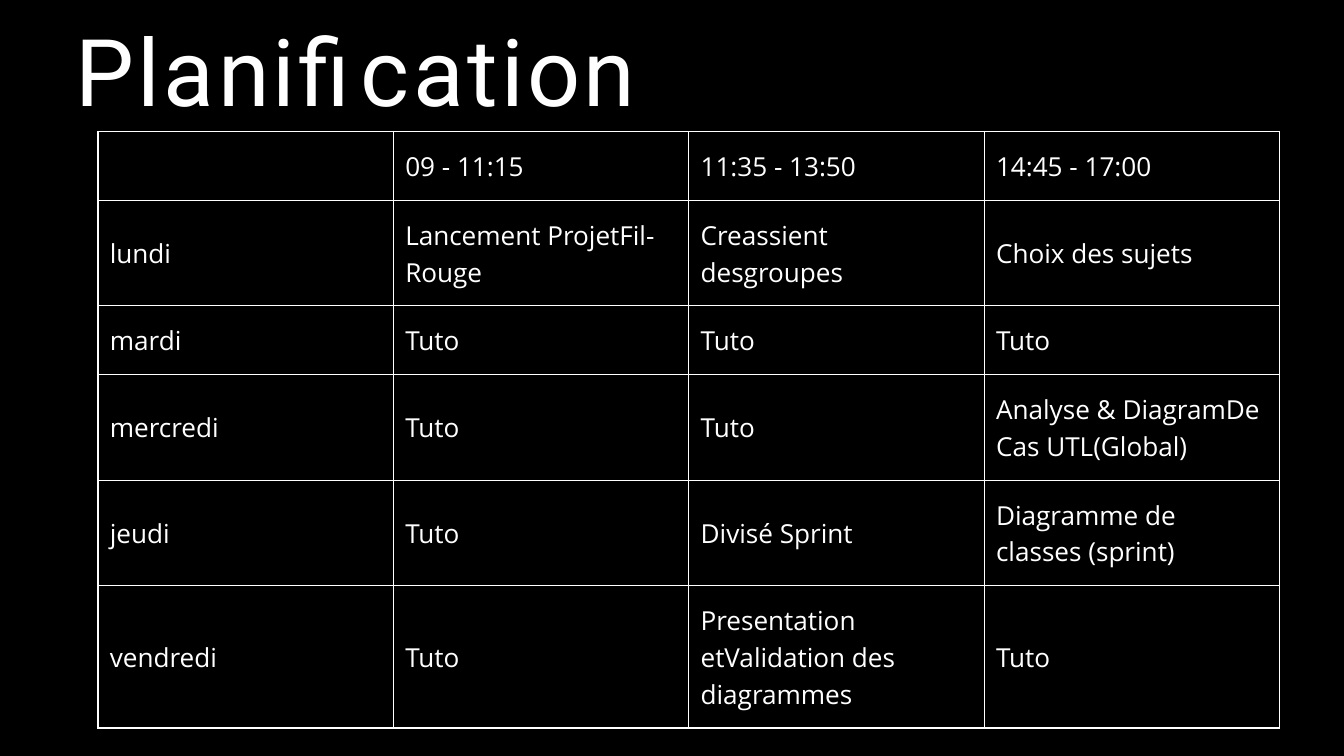
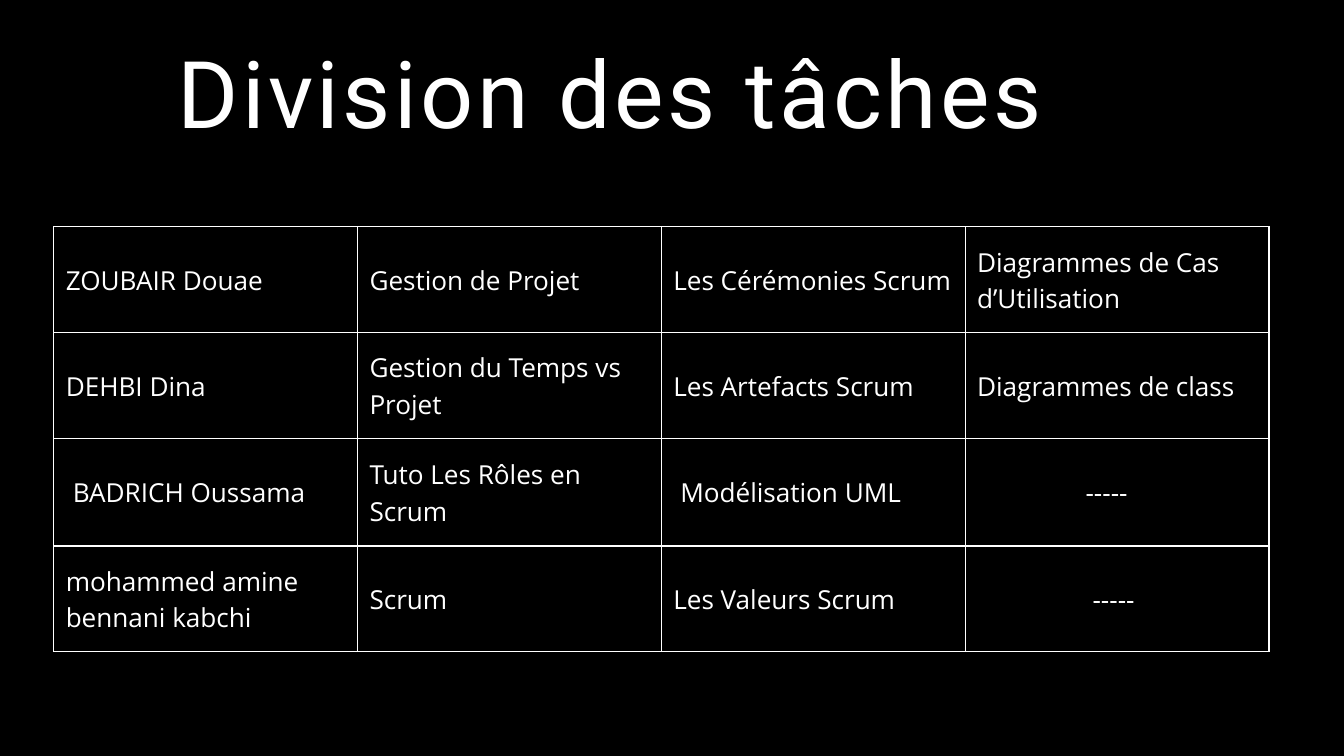
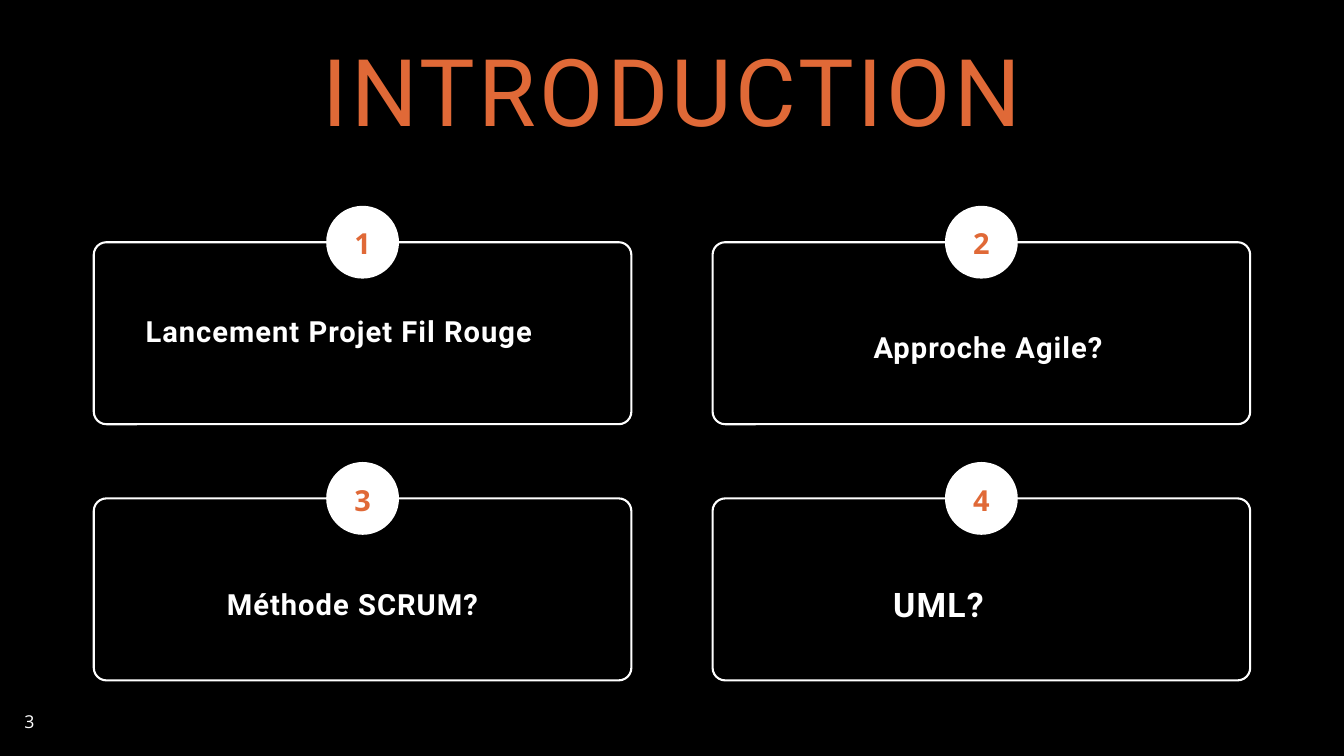
"""Builds three project slides: weekly planning, task division and introduction."""
from dataclasses import dataclass
from typing import Any

import lxml.etree
import pptx
import pptx.dml.color
import pptx.enum.shapes
import pptx.enum.text
import pptx.oxml.ns
import pptx.util

EMU_PER_PX = 9525
SLIDE_WIDTH, SLIDE_HEIGHT = 1920, 1080
COLORS = {"background": "000000", "light": "FFFFFF", "accent": "E06937"}
HEADING_FONT, BODY_FONT = "Roboto", "Open Sans"
CELL_INSET = 17
BORDER_PT = 1.5
CENTER = pptx.enum.text.PP_ALIGN.CENTER
MIDDLE = pptx.enum.text.MSO_ANCHOR.MIDDLE
TOP = pptx.enum.text.MSO_ANCHOR.TOP


@dataclass(frozen=True)
class Area:
    """A rectangle in px."""

    left: int
    top: int
    width: int
    height: int


@dataclass(frozen=True)
class Entry:
    """A table entry moved right by some px."""

    text: str
    indent: int = 0


@dataclass(frozen=True)
class Schedule:
    """A bordered grid with equal columns."""

    left: int
    top: int
    column_width: int
    row_heights: tuple[int, ...]
    rows: tuple[tuple[Entry | str, ...], ...]


@dataclass(frozen=True)
class Topic:
    """A numbered introduction topic with its caption."""

    caption: str
    area: Area
    size: float = 31.2
    leading: float = 33
    tracking: float = 1.1


PLANNING = Schedule(140, 188, 422, (98, 151, 98, 151, 151, 203), (
    ("", "09 - 11:15", "11:35 - 13:50", "14:45 - 17:00"),
    ("lundi", "Lancement ProjetFil-Rouge", "Creassient desgroupes", "Choix des sujets"),
    ("mardi", "Tuto", "Tuto", "Tuto"),
    ("mercredi", "Tuto", "Tuto", "Analyse & DiagramDe Cas UTL(Global)"),
    ("jeudi", "Tuto", "Divisé Sprint", "Diagramme de classes (sprint)"),
    ("vendredi", "Tuto", "Presentation etValidation des diagrammes", "Tuto"),
))

TASKS = Schedule(77, 324, 434, (151, 151, 154, 151), (
    ("ZOUBAIR Douae", "Gestion de Projet", "Les Cérémonies Scrum",
     "Diagrammes de Cas d’Utilisation"),
    ("DEHBI Dina", "Gestion du Temps vs\nProjet", "Les Artefacts Scrum",
     "Diagrammes de class"),
    (Entry("BADRICH Oussama", 10), "Tuto Les Rôles en Scrum",
     Entry("Modélisation UML", 10), Entry("-----", 155)),
    ("mohammed amine bennani kabchi", "Scrum", "Les Valeurs Scrum", Entry("-----", 165)),
))

TOPICS = (
    Topic("Lancement Projet Fil Rouge", Area(208, 453, 620, 48)),
    Topic("Approche Agile?", Area(1248, 477, 362, 48)),
    Topic("Méthode SCRUM?", Area(324, 844, 387, 48)),
    Topic("UML?", Area(1276, 841, 305, 55), size=36.2, leading=38.3, tracking=1.3),
)
FIRST_CARD = Area(134, 346, 768, 260)
CARD_STEP_X, CARD_STEP_Y = 884, 366
CARD_RADIUS = 18
BADGE_SIZE = 104


def px(length: int) -> int:
    """Turn px into EMU."""
    return pptx.util.Emu(length * EMU_PER_PX)


def place(area: Area) -> tuple[int, int, int, int]:
    """Give the area in EMU."""
    return px(area.left), px(area.top), px(area.width), px(area.height)


def rgb(color: str) -> pptx.dml.color.RGBColor:
    """Look up a named colour."""
    return pptx.dml.color.RGBColor.from_string(COLORS[color])


def write(frame: Any, text: str, *, size: float, leading: float, font: str = BODY_FONT,
          color: str = "light", bold: bool = False, tracking: float = 0,
          align: Any = None) -> None:
    """Fill a text frame with one paragraph per line of text."""
    for index, line in enumerate(text.splitlines()):
        paragraph = frame.add_paragraph() if index else frame.paragraphs[0]
        paragraph.alignment = align
        paragraph.line_spacing = pptx.util.Pt(leading)
        run = paragraph.add_run()
        run.text = line
        run.font.size = pptx.util.Pt(size)
        run.font.name = font
        run.font.bold = bold
        run.font.color.rgb = rgb(color)
        if tracking:
            run._r.get_or_add_rPr().set("spc", str(round(tracking * 100)))


def set_insets(holder: Any, left: int, top: int, right: int, bottom: int) -> None:
    """Set the inner margins of a text frame or table cell."""
    holder.margin_left, holder.margin_top = px(left), px(top)
    holder.margin_right, holder.margin_bottom = px(right), px(bottom)


def add_label(slide: Any, area: Area, text: str, *, inset: int = 0, anchor: Any = TOP,
              **text_format: Any) -> None:
    """Add a wrapped text box."""
    frame = slide.shapes.add_textbox(*place(area)).text_frame
    frame.word_wrap = True
    frame.vertical_anchor = anchor
    set_insets(frame, inset, inset, inset, inset)
    write(frame, text, **text_format)


def add_title(slide: Any, area: Area, text: str, **text_format: Any) -> None:
    """Add a slide title in the shared style."""
    add_label(slide, area, text, size=100, leading=106, font=HEADING_FONT, tracking=3.7,
              **text_format)


def add_borders(cell: Any) -> None:
    """Draw a light line on all four sides of a cell."""
    properties = cell._tc.get_or_add_tcPr()
    qn = pptx.oxml.ns.qn
    for side in ("lnL", "lnR", "lnT", "lnB"):
        border = lxml.etree.SubElement(properties, qn(f"a:{side}"),
                                       w=str(pptx.util.Pt(BORDER_PT)))
        fill = lxml.etree.SubElement(border, qn("a:solidFill"))
        lxml.etree.SubElement(fill, qn("a:srgbClr"), val=COLORS["light"])


def add_schedule(slide: Any, schedule: Schedule) -> None:
    """Add a bordered table."""
    columns = len(schedule.rows[0])
    area = Area(schedule.left, schedule.top, schedule.column_width * columns,
                sum(schedule.row_heights))
    table = slide.shapes.add_table(len(schedule.rows), columns, *place(area)).table
    table.first_row = table.horz_banding = False
    for row, height in zip(table.rows, schedule.row_heights):
        row.height = px(height)
    for row_index, entries in enumerate(schedule.rows):
        for column_index, content in enumerate(entries):
            entry = Entry(content) if isinstance(content, str) else content
            cell = table.cell(row_index, column_index)
            cell.vertical_anchor = MIDDLE
            set_insets(cell, CELL_INSET + entry.indent, CELL_INSET, CELL_INSET, CELL_INSET)
            add_borders(cell)
            cell.fill.background()
            write(cell.text_frame, entry.text, size=28, leading=39.2)


def add_card(slide: Any, area: Area) -> None:
    """Add a rounded outline."""
    card = slide.shapes.add_shape(pptx.enum.shapes.MSO_SHAPE.ROUNDED_RECTANGLE, *place(area))
    card.adjustments[0] = CARD_RADIUS / area.height
    card.shadow.inherit = False
    card.fill.background()
    card.line.color.rgb = rgb("light")
    card.line.width = pptx.util.Pt(2.25)


def add_badge(slide: Any, card: Area, number: int) -> None:
    """Add a numbered disc centred on the top edge of a card."""
    area = Area(card.left + (card.width - BADGE_SIZE) // 2, card.top - BADGE_SIZE // 2,
                BADGE_SIZE, BADGE_SIZE)
    badge = slide.shapes.add_shape(pptx.enum.shapes.MSO_SHAPE.OVAL, *place(area))
    badge.shadow.inherit = False
    badge.fill.solid()
    badge.fill.fore_color.rgb = rgb("light")
    badge.line.fill.background()
    badge.text_frame.vertical_anchor = MIDDLE
    set_insets(badge.text_frame, 0, 0, 0, 5)
    write(badge.text_frame, str(number), size=31, leading=43.4, color="accent", bold=True,
          align=CENTER)


def add_slide(deck: Any) -> Any:
    """Add a blank slide with the shared background."""
    slide = deck.slides.add_slide(deck.slide_layouts[6])
    slide.background.fill.solid()
    slide.background.fill.fore_color.rgb = rgb("background")
    return slide


def build_planning(deck: Any) -> None:
    """Build the weekly planning slide."""
    slide = add_slide(deck)
    add_schedule(slide, PLANNING)
    add_title(slide, Area(108, 37, 996, 151), "Planification")


def build_tasks(deck: Any) -> None:
    """Build the task division slide."""
    slide = add_slide(deck)
    add_schedule(slide, TASKS)
    add_title(slide, Area(254, 69, 1454, 292), "Division des tâches")


def build_introduction(deck: Any) -> None:
    """Build the introduction slide."""
    slide = add_slide(deck)
    add_title(slide, Area(442, 66, 1036, 151), "INTRODUCTION", color="accent", align=CENTER)
    for index, topic in enumerate(TOPICS):
        row, column = divmod(index, 2)
        card = Area(FIRST_CARD.left + column * CARD_STEP_X, FIRST_CARD.top + row * CARD_STEP_Y,
                    FIRST_CARD.width, FIRST_CARD.height)
        add_card(slide, card)
        add_badge(slide, card, index + 1)
        add_label(slide, topic.area, topic.caption, size=topic.size, leading=topic.leading,
                  font=HEADING_FONT, bold=True, tracking=topic.tracking)
    add_label(slide, Area(0, 977, 84, 103), "3", inset=6, anchor=MIDDLE, size=19,
              leading=26.6, align=CENTER)


def main() -> None:
    """Build and save the deck."""
    deck = pptx.Presentation()
    deck.slide_width, deck.slide_height = px(SLIDE_WIDTH), px(SLIDE_HEIGHT)
    build_planning(deck)
    build_tasks(deck)
    build_introduction(deck)
    deck.save("out.pptx")


if __name__ == "__main__":
    main()
